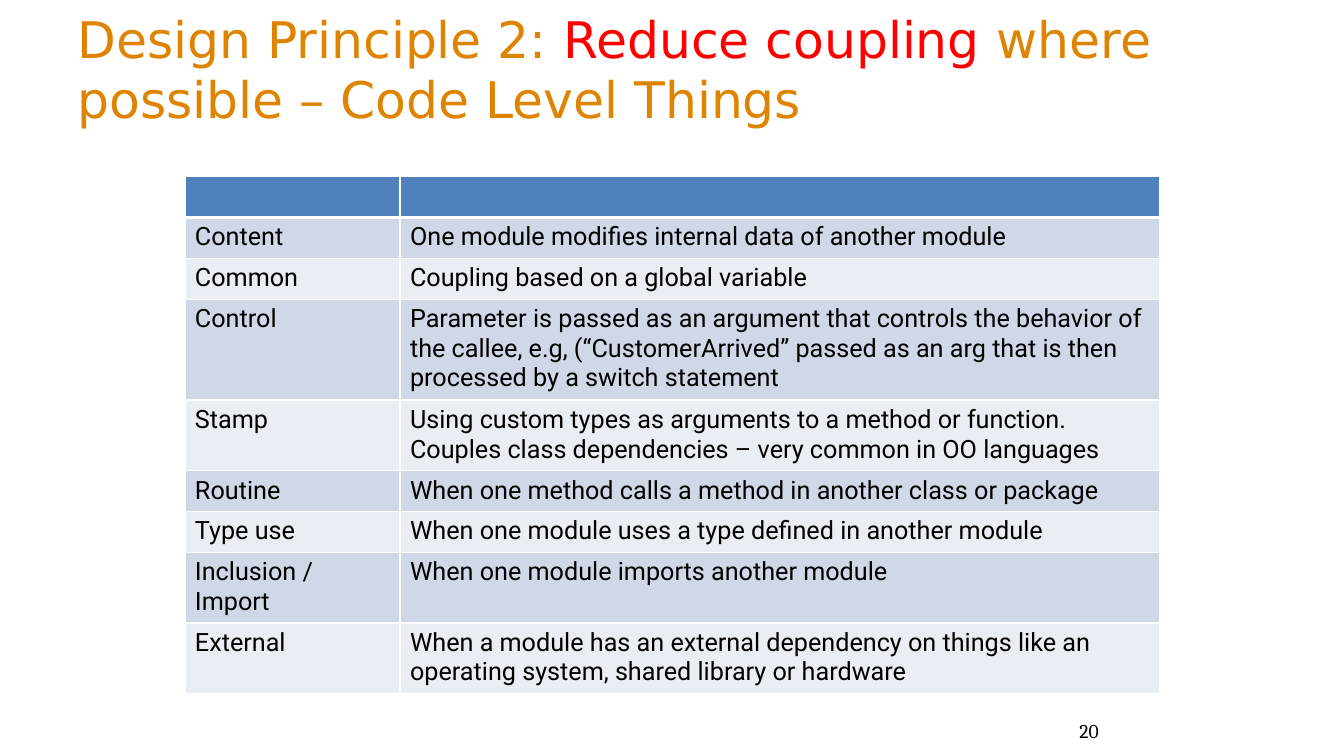
from dataclasses import dataclass
from lxml.etree import SubElement
from pptx import Presentation
from pptx.dml.color import RGBColor
from pptx.enum.text import MSO_ANCHOR, MSO_AUTO_SIZE, PP_ALIGN
from pptx.oxml.ns import qn
from pptx.util import Cm, Pt


@dataclass(frozen=True)
class Theme:
    gold: str = "DE8400"
    red: str = "FF0000"
    ink: str = "000000"
    white: str = "FFFFFF"
    head: str = "4F81BD"
    bands: tuple = ("D0D8E8", "E9EDF4")
    title: tuple = ("DejaVu Sans", 36)
    body: tuple = ("Roboto", 18)
    foot: tuple = ("Cambria", 14)


THEME = Theme()
TITLE = [
    ("Design Principle 2: ", THEME.gold),
    ("Reduce coupling ", THEME.red),
    ("where possible – Code Level Things", THEME.gold),
]
KINDS = [
    ("Content", "One module modifies internal data of another module"),
    ("Common", "Coupling based on a global variable"),
    ("Control", "Parameter is passed as an argument that controls the behavior of "
     "the callee, e.g, (“CustomerArrived” passed as an arg that is then "
     "processed by a switch statement"),
    ("Stamp", "Using custom types as arguments to a method or function. "
     "Couples class dependencies – very common in OO languages"),
    ("Routine", "When one method calls a method in another class or package"),
    ("Type use", "When one module uses a type defined in another module"),
    ("Inclusion / Import", "When one module imports another module"),
    ("External", "When a module has an external dependency on things like an "
     "operating system, shared library or hardware"),
]


def style(font, face, color, bold=False):
    font.name, font.size = face[0], Pt(face[1])
    font.color.rgb = RGBColor.from_string(color)
    font.bold = bold


def place(shape, box):
    shape.left, shape.top, shape.width, shape.height = (Cm(n) for n in box)


def edge(cell, low):
    """White borders; low is the width of the bottom one in points."""
    props = cell._tc.get_or_add_tcPr()
    for spot, (side, size) in enumerate(zip("LRTB", (1, 1, 1, low))):
        line = props.makeelement(qn(f"a:ln{side}"), {"w": str(Pt(size))})
        fill = SubElement(line, qn("a:solidFill"))
        SubElement(fill, qn("a:srgbClr"), val=THEME.white)
        props.insert(spot, line)


def add_title(slide, box):
    shape = slide.shapes.title
    place(shape, box)
    frame = shape.text_frame
    frame.word_wrap = True
    frame.auto_size = MSO_AUTO_SIZE.NONE
    frame.vertical_anchor = MSO_ANCHOR.MIDDLE
    para = frame.paragraphs[0]
    para.alignment = PP_ALIGN.LEFT
    for text, color in TITLE:
        run = para.add_run()
        run.text = text
        style(run.font, THEME.title, color)


def add_grid(slide, box, split):
    left, top, width, height = (Cm(n) for n in box)
    rows = [("", "")] + KINDS
    grid = slide.shapes.add_table(len(rows), 2, left, top, width, height).table
    grid.columns[0].width = Cm(split)
    grid.columns[1].width = width - Cm(split)
    for r, row in enumerate(rows):
        for c, text in enumerate(row):
            cell = grid.cell(r, c)
            color = THEME.bands[(r - 1) % 2] if r else THEME.head
            cell.fill.solid()
            cell.fill.fore_color.rgb = RGBColor.from_string(color)
            edge(cell, 1 if r else 3)
            para = cell.text_frame.paragraphs[0]
            para.text = text
            style(para.font, THEME.body, THEME.ink)
            for run in para.runs:
                style(run.font, THEME.body, THEME.ink)


def add_foot(slide, box):
    shape = slide.shapes.add_textbox(*(Cm(n) for n in box))
    frame = shape.text_frame
    frame.word_wrap = True
    frame.vertical_anchor = MSO_ANCHOR.MIDDLE
    para = frame.paragraphs[0]
    para.text = "20"
    para.alignment = PP_ALIGN.RIGHT
    style(para.runs[0].font, THEME.foot, THEME.ink)


def main():
    deck = Presentation()
    deck.slide_width, deck.slide_height = Cm(33.87), Cm(19.05)
    slide = deck.slides.add_slide(deck.slide_layouts[5])
    add_foot(slide, (26.67, 17.78, 1.27, 1.27))
    add_title(slide, (1.7, 0.76, 30.48, 1.93))
    add_grid(slide, (4.66, 4.45, 24.56, 9.27), 5.42)
    deck.save("out.pptx")


if __name__ == "__main__":
    main()
